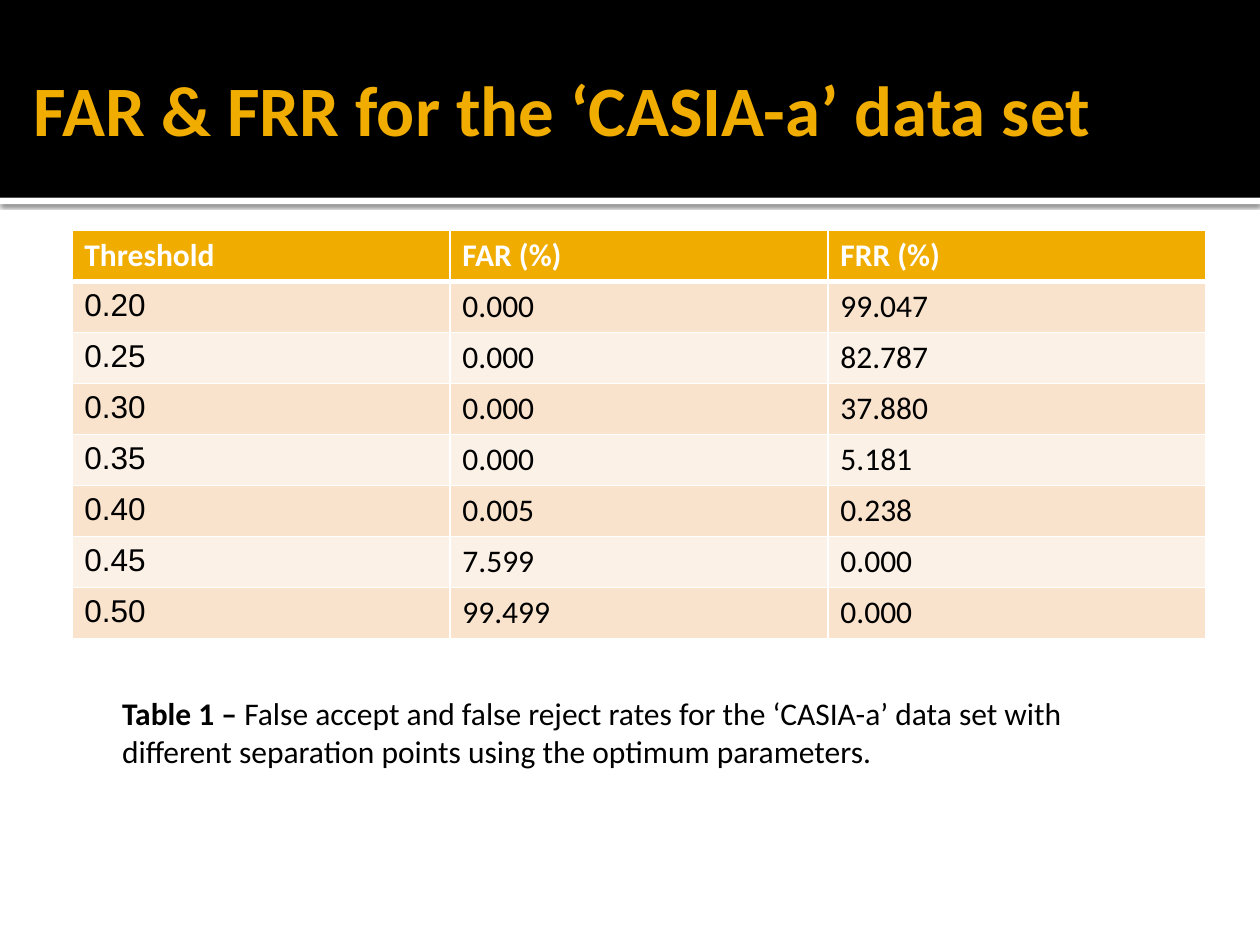
import pptx
import pptx.util
import pptx.dml.color
import pptx.enum.shapes
import pptx.enum.text
import pptx.oxml
import pptx.oxml.ns

Inches, Pt = pptx.util.Inches, pptx.util.Pt

TITLE = "FAR & FRR for the ‘CASIA-a’ data set"
HEADS = ["Threshold", "FAR (%)", "FRR (%)"]
RATES = [
    ("0.20", "0.000", "99.047"),
    ("0.25", "0.000", "82.787"),
    ("0.30", "0.000", "37.880"),
    ("0.35", "0.000", "5.181"),
    ("0.40", "0.005", "0.238"),
    ("0.45", "7.599", "0.000"),
    ("0.50", "99.499", "0.000"),
]
LABEL = "Table 1 – "
NOTE = ("False accept and false reject rates for the ‘CASIA-a’ data set with "
        "different separation points using the optimum parameters.")

THEME = {
    "gold": "F0AD00", "black": "000000", "white": "FFFFFF",
    "bands": ("F9E3CC", "FCF1E7"),
    "font": "Calibri", "digits": "Arial",
    "title": 40.5, "body": 18,
}
WIDTH, HEIGHT = 10, 7.5
BAND = 1.57
COL, ROW = 3, 0.405


def paint(fill, color):
    fill.solid()
    fill.fore_color.rgb = pptx.dml.color.RGBColor.from_string(color)


def style(run, size, color, bold=False, font=THEME["font"]):
    run.font.size, run.font.bold, run.font.name = Pt(size), bold, font
    run.font.color.rgb = pptx.dml.color.RGBColor.from_string(color)


def add_bar(slide, top, height, color):
    bar = slide.shapes.add_shape(pptx.enum.shapes.MSO_SHAPE.RECTANGLE,
                                 0, Inches(top), Inches(WIDTH), Inches(height))
    bar.shadow.inherit = False
    paint(bar.fill, color)
    bar.line.fill.background()
    return bar


def cast_shadow(shape):
    """Put a soft shadow straight below the shape."""
    effects = shape._element.spPr.find(pptx.oxml.ns.qn("a:effectLst"))
    effects.append(pptx.oxml.parse_xml(
        f'<a:outerShdw {pptx.oxml.ns.nsdecls("a")} blurRad="{Pt(2.5)}" '
        f'dist="{Pt(0.8)}" dir="5400000" algn="tl" rotWithShape="0">'
        f'<a:srgbClr val="{THEME["black"]}"><a:alpha val="60000"/></a:srgbClr>'
        '</a:outerShdw>'))


def add_text(slide, left, top, width, height):
    frame = slide.shapes.add_textbox(Inches(left), Inches(top),
                                     Inches(width), Inches(height)).text_frame
    frame.word_wrap = True
    return frame


def rule_cell(cell, above, below):
    """Draw white rules around a cell, with point widths for top and bottom."""
    props = cell._tc.get_or_add_tcPr()
    for spot, (side, width) in enumerate(
            [("L", 1), ("R", 1), ("T", above), ("B", below)]):
        props.insert(spot, pptx.oxml.parse_xml(
            f'<a:ln{side} {pptx.oxml.ns.nsdecls("a")} w="{Pt(width)}">'
            f'<a:solidFill><a:srgbClr val="{THEME["white"]}"/></a:solidFill>'
            f'</a:ln{side}>'))


def add_rates(slide):
    rows = [HEADS] + RATES
    table = slide.shapes.add_table(
        len(rows), len(HEADS), Inches(0.57), Inches(1.83),
        Inches(COL * len(HEADS)), Inches(ROW * len(rows))).table
    for r, row in enumerate(rows):
        head = r == 0
        for c, text in enumerate(row):
            cell = table.cell(r, c)
            cell.text_frame.text = text
            style(cell.text_frame.paragraphs[0].runs[0], THEME["body"],
                  THEME["white"] if head else THEME["black"], head,
                  THEME["digits"] if c == 0 and not head else THEME["font"])
            rule_cell(cell, 3 if r == 1 else 1, 3 if head else 1)
            paint(cell.fill, THEME["gold"] if head else THEME["bands"][(r - 1) % 2])


def main():
    deck = pptx.Presentation()
    deck.slide_width, deck.slide_height = Inches(WIDTH), Inches(HEIGHT)
    slide = deck.slides.add_slide(deck.slide_layouts[6])
    paint(slide.background.fill, THEME["white"])

    cast_shadow(add_bar(slide, BAND, 0.05, THEME["white"]))
    add_bar(slide, 0, BAND, THEME["black"])

    title = add_text(slide, 0.17, 0.17, 9.67, 1.37)
    title.margin_right = Inches(0.05)
    title.vertical_anchor = pptx.enum.text.MSO_ANCHOR.MIDDLE
    title.text = TITLE
    style(title.paragraphs[0].runs[0], THEME["title"], THEME["gold"], True)

    add_rates(slide)

    note = add_text(slide, 0.87, 5.46, 8.42, 0.71).paragraphs[0]
    for text, bold in [(LABEL, True), (NOTE, False)]:
        run = note.add_run()
        run.text = text
        style(run, THEME["body"], THEME["black"], bold)

    deck.save("out.pptx")


if __name__ == "__main__":
    main()
